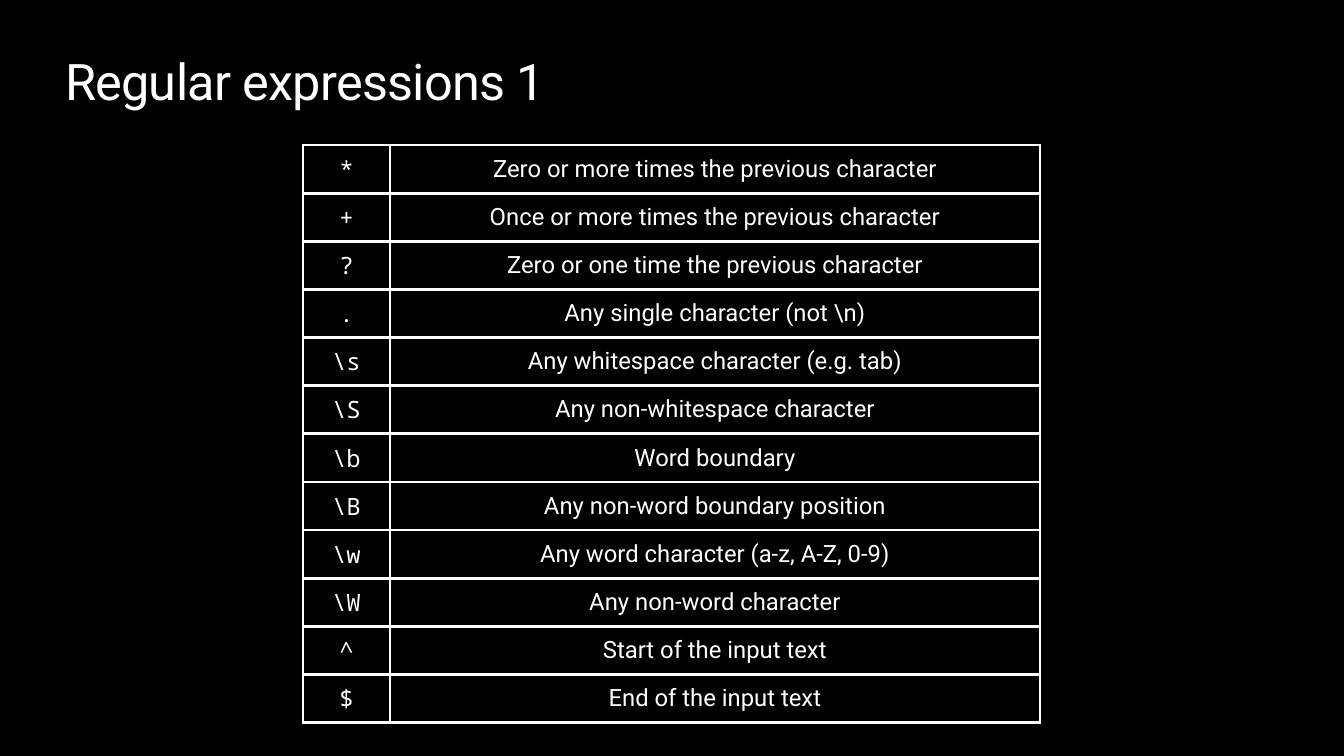
from lxml import etree
from pptx import Presentation
from pptx import util as u
from pptx.dml.color import RGBColor
from pptx.enum import text as t
from pptx.oxml.ns import qn

# Content
TITLE = "Regular expressions 1"
PATTERNS = [
    ("*", "Zero or more times the previous character"),
    ("+", "Once or more times the previous character"),
    ("?", "Zero or one time the previous character"),
    (".", r"Any single character (not \n)"),
    (r"\s", "Any whitespace character (e.g. tab)"),
    (r"\S", "Any non-whitespace character"),
    (r"\b", "Word boundary"),
    (r"\B", "Any non-word boundary position"),
    (r"\w", "Any word character (a-z, A-Z, 0-9)"),
    (r"\W", "Any non-word character"),
    ("^", "Start of the input text"),
    ("$", "End of the input text"),
]

# Layout in px and style
SLIDE_SIZE = (1344, 756)
TITLE_BOX = (65, 50, 1215, 61)
TABLE_BOX = (303, 145, 737, 578)
COLUMN_WIDTHS = (87, 650)
CELL_MARGIN = 4
COLUMN_FONTS = ("Noto Sans Mono", "Roboto")
BORDER_WIDTH = u.Pt(2.25)
BLACK = RGBColor(0x00, 0x00, 0x00)
WHITE = RGBColor(0xFF, 0xFF, 0xFF)


def px(length):
    return round(length * u.Inches(1) / 100.8)


def write(frame, content, *, font, size, align, anchor, margin=0, spacing=None):
    frame.word_wrap = True
    frame.vertical_anchor = anchor
    frame.margin_left = frame.margin_right = px(margin)
    frame.margin_top = frame.margin_bottom = px(margin)
    paragraph = frame.paragraphs[0]
    paragraph.alignment = align
    run = paragraph.add_run()
    run.text = content
    run.font.name = font
    run.font.size = u.Pt(size)
    run.font.color.rgb = WHITE
    if spacing is not None:
        run.font._element.set("spc", str(round(spacing * 100)))


def add_borders(cell):
    properties = cell._tc.get_or_add_tcPr()
    for index, side in enumerate(("lnL", "lnR", "lnT", "lnB")):
        line = etree.Element(qn(f"a:{side}"), w=str(BORDER_WIDTH))
        fill = etree.SubElement(line, qn("a:solidFill"))
        etree.SubElement(fill, qn("a:srgbClr"), val=str(WHITE))
        properties.insert(index, line)


def main():
    presentation = Presentation()
    presentation.slide_width, presentation.slide_height = map(px, SLIDE_SIZE)
    slide = presentation.slides.add_slide(presentation.slide_layouts[5])
    slide.background.fill.solid()
    slide.background.fill.fore_color.rgb = BLACK

    # Title
    title = slide.shapes.title
    title.left, title.top, title.width, title.height = map(px, TITLE_BOX)
    write(title.text_frame, TITLE, font="Roboto", size=36, spacing=-0.5,
          align=t.PP_ALIGN.LEFT, anchor=t.MSO_ANCHOR.TOP)
    title.text_frame.auto_size = t.MSO_AUTO_SIZE.SHAPE_TO_FIT_TEXT

    # Pattern table
    table = slide.shapes.add_table(
        len(PATTERNS), len(COLUMN_WIDTHS), *map(px, TABLE_BOX)).table
    table.first_row = table.horz_banding = False
    for column, width in zip(table.columns, COLUMN_WIDTHS):
        column.width = px(width)
    for row, pattern in zip(table.rows, PATTERNS):
        row.height = px(TABLE_BOX[3] / len(PATTERNS))
        for cell, content, font in zip(row.cells, pattern, COLUMN_FONTS):
            cell.fill.background()
            add_borders(cell)
            cell.vertical_anchor = t.MSO_ANCHOR.MIDDLE
            cell.margin_left = cell.margin_right = px(CELL_MARGIN)
            cell.margin_top = cell.margin_bottom = px(CELL_MARGIN)
            write(cell.text_frame, content, font=font, size=17, margin=CELL_MARGIN,
                  align=t.PP_ALIGN.CENTER, anchor=t.MSO_ANCHOR.MIDDLE)

    presentation.save("out.pptx")


if __name__ == "__main__":
    main()
